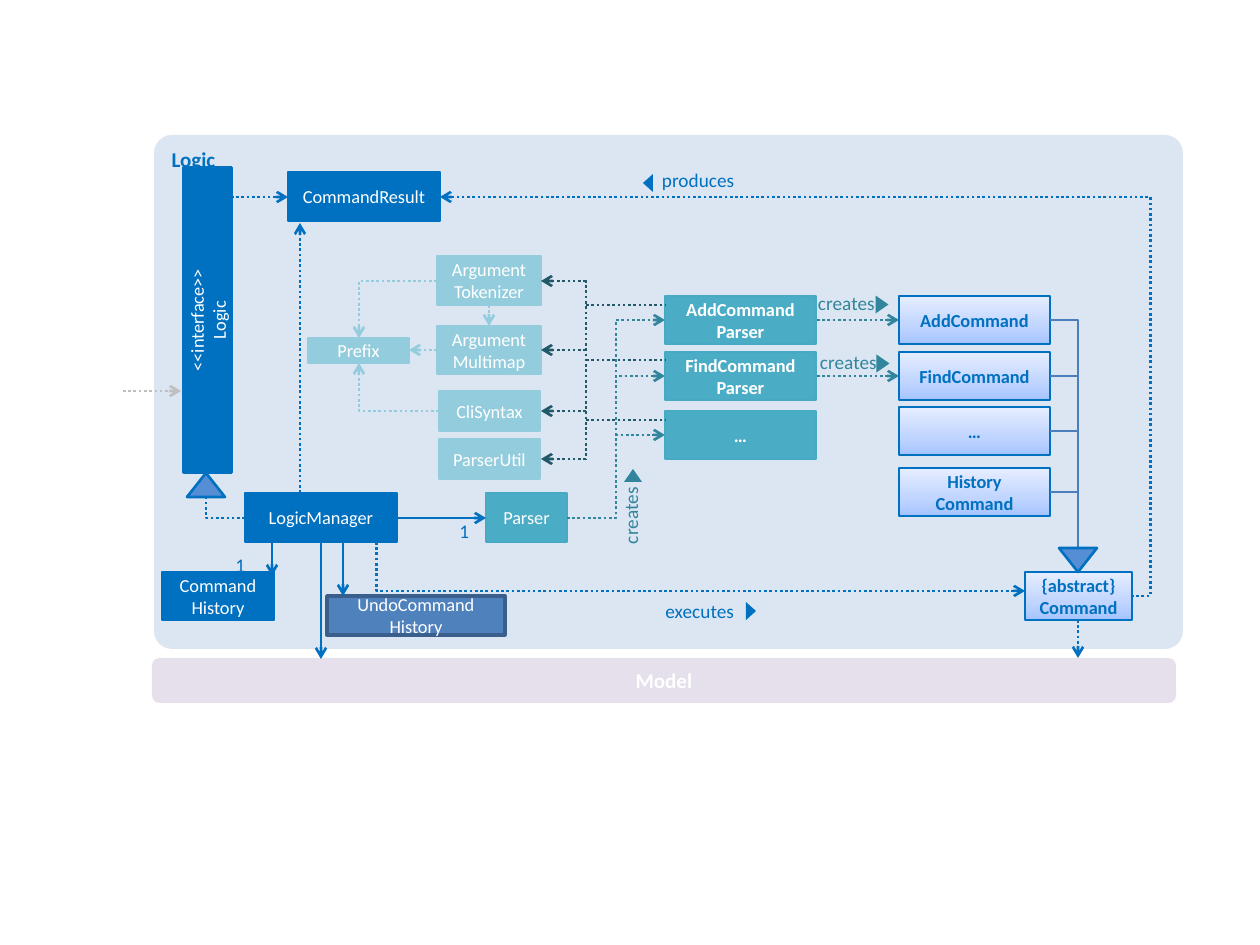
from copy import deepcopy
from lxml.etree import SubElement
from pptx import Presentation
from pptx.dml.color import RGBColor
from pptx.enum.dml import MSO_LINE
from pptx.enum.shapes import MSO_CONNECTOR, MSO_SHAPE
from pptx.enum.text import MSO_ANCHOR, PP_ALIGN
from pptx.oxml.ns import qn
from pptx.util import Pt

SCALE = 914400 / 126
WIDE, HIGH = 1260, 945

THEME = {
    "font": "Calibri",
    "size": {"box": 10.5, "label": 11, "title": 12},
    "color": {
        "blue": "0070C0", "white": "FFFFFF", "panel": "DCE6F2", "model": "E6E0EC",
        "teal": "4BACC6", "edge": "46AAC5", "pale": "93CDDD", "deep": "31859C",
        "dark": "215968", "gray": "BFBFBF", "steel": "4B7EBC", "sky": "558ED5",
        "undo": "4F81BD", "navy": "3A5F8C",
    },
    "fade": [(0, "A4C4FF"), (0.35, "BFD4FF"), (1, "E6EEFF")],
}

# fill, line, line width, text colour, bold
KINDS = {
    "core": ("blue", "blue", 1.5, "white", False),
    "parse": ("teal", "edge", 0.75, "white", False),
    "maker": ("teal", "edge", 0.75, "white", True),
    "help": ("pale", "pale", 1.5, "white", False),
    "order": ("fade", "blue", 1.5, "blue", True),
    "undo": ("undo", "navy", 2, "white", False),
}

PANELS = [
    ("Logic", (154, 135, 1029, 514), 0.035, "panel", "blue", MSO_ANCHOR.TOP, PP_ALIGN.LEFT),
    ("Model", (152, 658, 1024, 45), 0.167, "model", "white", MSO_ANCHOR.MIDDLE, PP_ALIGN.CENTER),
]

# text, kind, left, top, width, height, turn
BOXES = [
    ("CommandResult", "core", 288, 172, 152, 49, 0),
    ("LogicManager", "core", 245, 493, 152, 49, 0),
    ("<<interface>>\nLogic", "core", 55, 296, 305, 48, 270),
    ("Command\nHistory", "core", 162, 572, 112, 48, 0),
    ("UndoCommand\nHistory", "undo", 327, 596, 178, 39, 0),
    ("Parser", "parse", 486, 493, 81, 49, 0),
    ("Argument\vTokenizer", "help", 437, 256, 104, 49, 0),
    ("Argument\vMultimap", "help", 437, 326, 104, 48, 0),
    ("CliSyntax", "help", 439, 391, 101, 40, 0),
    ("ParserUtil", "help", 439, 439, 101, 40, 0),
    ("Prefix", "help", 308, 338, 101, 25, 0),
    ("{abstract}\vCommand", "order", 1025, 572, 107, 48, 0),
]
STACKS = [
    ("maker", 665, [("AddCommand\nParser", 296), ("FindCommand\nParser", 352), ("…", 411)]),
    ("order", 899, [("AddCommand", 296), ("FindCommand", 352), ("…", 407),
                    ("History\vCommand", 468)]),
]
BOXES += [(text, kind, left, top, 151, 48, 0)
          for kind, left, rows in STACKS for text, top in rows]

# colour, dotted, arrow, start, end, bend: None, "corner" or x of the upright part
LINES = [
    ("blue", True, True, (1131, 596), (440, 197), 1150),
    ("blue", True, True, (231, 197), (288, 197), None),
    ("blue", False, True, (397, 518), (486, 518), None),
    ("blue", True, True, (1078, 620), (1078, 658), None),
    ("blue", True, False, (245, 518), (206, 497), "corner"),
    ("blue", False, True, (321, 542), (321, 659), None),
    ("blue", False, True, (272, 543), (272, 576), None),
    ("blue", False, True, (343, 542), (343, 596), None),
    ("blue", True, True, (378, 538), (1025, 591), 377),
    ("blue", True, True, (300, 493), (300, 223), None),
    ("gray", True, True, (123, 391), (181, 391), None),
    ("pale", True, True, (439, 411), (359, 363), "corner"),
    ("pale", True, True, (437, 281), (359, 338), "corner"),
    ("pale", True, True, (437, 350), (409, 350), None),
    ("pale", True, True, (489, 305), (489, 326), None),
    ("dark", True, False, (586, 280), (586, 460), None),
]
LINES += [("dark", True, True, (586, y), (541, y), None) for y in (281, 350, 411, 459)]
LINES += [("dark", True, False, (586, y), (665, y), None) for y in (305, 360, 420)]
LINES += [("deep", True, True, (567, 518), (665, y), 616) for y in (435, 376, 320)]
LINES += [("deep", True, True, (817, y), (899, y), None) for y in (320, 376)]
LINES += [("steel", False, False, (1050, y), (1078, 548), "corner")
          for y in (320, 376, 431, 492)]

# left, top, width, height, turn, fill, line
WEDGES = [
    (187, 473, 38, 24, 0, "sky", "blue"),
    (1059, 548, 38, 24, 180, "sky", "blue"),
    (742, 606, 18, 10, 90, "blue", None),
    (639, 178, 18, 10, 270, "blue", None),
    (873, 298, 18, 13, 90, "deep", None),
    (874, 357, 18, 13, 90, "deep", None),
    (624, 469, 18, 13, 0, "deep", None),
]

# text, left, top, width, height, turn, colour, alignment
LABELS = [
    ("executes", 634, 599, 100, 31, 0, "blue", PP_ALIGN.RIGHT),
    ("produces", 662, 168, 100, 31, 0, "blue", PP_ALIGN.LEFT),
    ("1", 451, 519, 18, 31, 0, "blue", PP_ALIGN.RIGHT),
    ("1", 227, 553, 18, 31, 0, "blue", PP_ALIGN.RIGHT),
    ("creates", 818, 291, 77, 35, 0, "deep", PP_ALIGN.LEFT),
    ("creates", 820, 350, 77, 35, 0, "deep", PP_ALIGN.LEFT),
    ("creates", 598, 488, 77, 35, 270, "deep", PP_ALIGN.LEFT),
]


def emu(*vals):
    """Turn pixels into EMU."""
    return [round(v * SCALE) for v in vals]


def tint(name):
    """Give the theme colour of that name."""
    return RGBColor.from_string(THEME["color"][name])


def apply(obj, form):
    """Set each format value on an object."""
    for key, val in form.items():
        setattr(obj, key, val)


def write(shape, text, size, color, bold, align, frame):
    """Put styled text in a shape."""
    body = shape.text_frame
    body.text = text
    apply(body, {"word_wrap": True, **frame})
    for para in body.paragraphs:
        para.alignment = align
        for run in para.runs:
            apply(run.font, {"name": THEME["font"], "size": Pt(THEME["size"][size]),
                             "bold": bold})
            run.font.color.rgb = tint(color)


def shade(shape):
    """Fill a shape with the theme's three-stop fade."""
    shape.fill.gradient()
    shape.fill.gradient_angle = 90
    stops = next(shape._element.spPr.iter(qn("a:gsLst")))
    stops.append(deepcopy(stops[-1]))
    for stop, (spot, color) in zip(shape.fill.gradient_stops, THEME["fade"]):
        stop.position = spot
        stop.color.rgb = RGBColor.from_string(color)


def draw(slide, form, frame, turn, fill, line, width=1.5):
    """Add a filled preset shape."""
    shape = slide.shapes.add_shape(form, *emu(*frame))
    shape.shadow.inherit = False
    shape.rotation = turn
    if fill == "fade":
        shade(shape)
    else:
        shape.fill.solid()
        shape.fill.fore_color.rgb = tint(fill)
    if line:
        shape.line.color.rgb = tint(line)
        shape.line.width = Pt(width)
    else:
        shape.line.fill.background()
    return shape


def link(slide, color, dots, tip, start, end, bend):
    """Add a straight or bent connector."""
    form = MSO_CONNECTOR.ELBOW if bend else MSO_CONNECTOR.STRAIGHT
    wire = slide.shapes.add_connector(form, *emu(*start, *end))
    wire.line.color.rgb = tint(color)
    apply(wire.line, {"width": Pt(1.5),
                      "dash_style": MSO_LINE.ROUND_DOT if dots else MSO_LINE.SOLID})
    props = wire._element.spPr
    geom = props.find(qn("a:prstGeom"))
    if bend == "corner":
        geom.set("prst", "bentConnector2")
    elif bend:
        part = round((bend - start[0]) / (end[0] - start[0]) * 100000)
        SubElement(geom.find(qn("a:avLst")), qn("a:gd"), name="adj1", fmla=f"val {part}")
    if tip:
        SubElement(props.find(qn("a:ln")), qn("a:tailEnd"), type="arrow")
    SubElement(props, qn("a:effectLst"))


def build():
    """Build the slide and save it."""
    deck = Presentation()
    deck.slide_width, deck.slide_height = emu(WIDE, HIGH)
    slide = deck.slides.add_slide(deck.slide_layouts[6])
    for text, frame, curve, fill, color, anchor, align in PANELS:
        panel = draw(slide, MSO_SHAPE.ROUNDED_RECTANGLE, frame, 0, fill, None)
        panel.adjustments[0] = curve
        write(panel, text, "title", color, True, align, {"vertical_anchor": anchor})
    for text, kind, *frame, turn in BOXES:
        fill, line, width, color, bold = KINDS[kind]
        box = draw(slide, MSO_SHAPE.RECTANGLE, frame, turn, fill, line, width)
        write(box, text, "box", color, bold, PP_ALIGN.CENTER,
              {"vertical_anchor": MSO_ANCHOR.MIDDLE})
    for line in LINES:
        link(slide, *line)
    for *frame, turn, fill, line in WEDGES:
        draw(slide, MSO_SHAPE.ISOSCELES_TRIANGLE, frame, turn, fill, line)
    flush = {f"margin_{side}": 0 for side in ("left", "top", "right", "bottom")}
    for text, *frame, turn, color, align in LABELS:
        label = slide.shapes.add_textbox(*emu(*frame))
        label.rotation = turn
        write(label, text, "label", color, False, align, flush)
    deck.save("out.pptx")


build()
